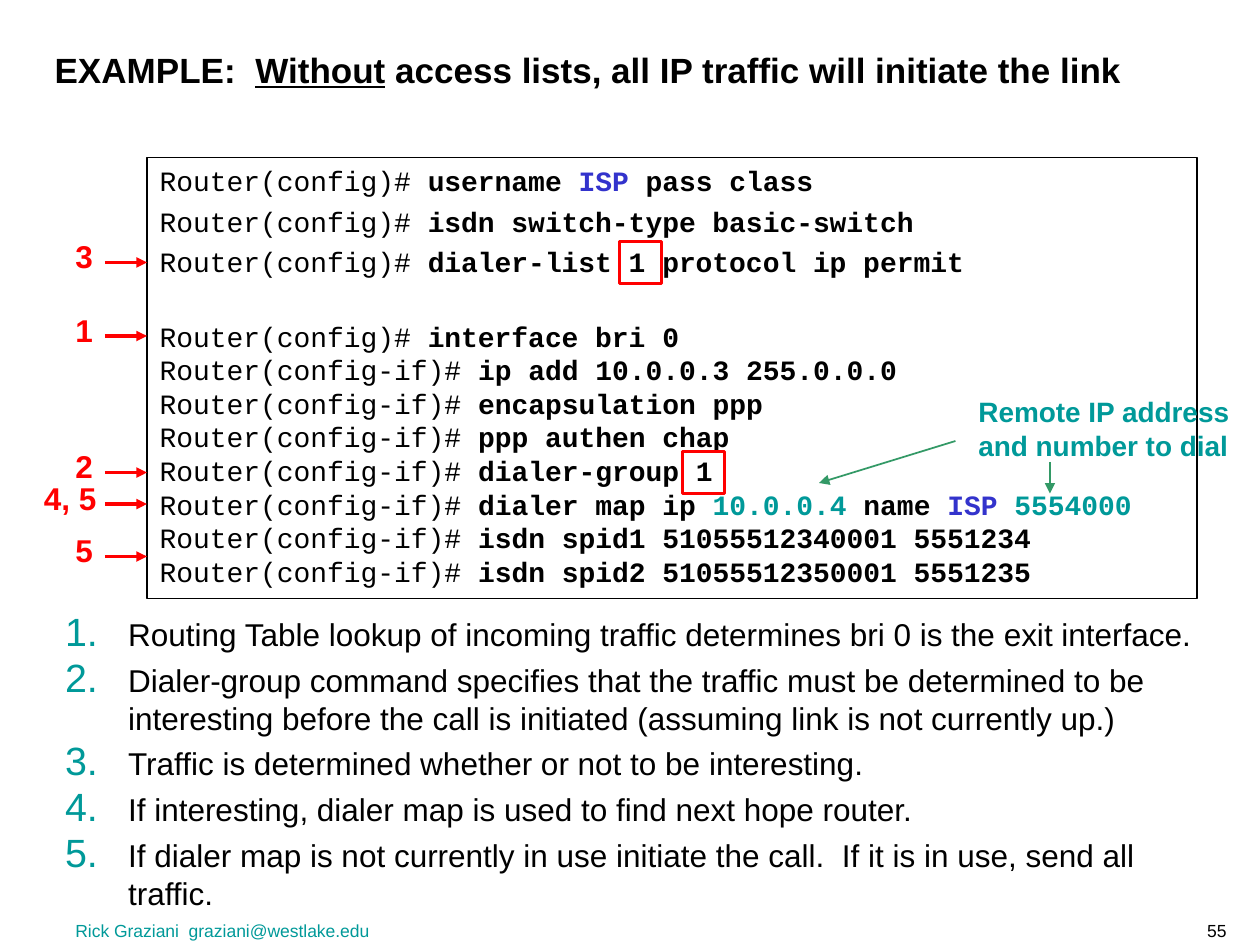
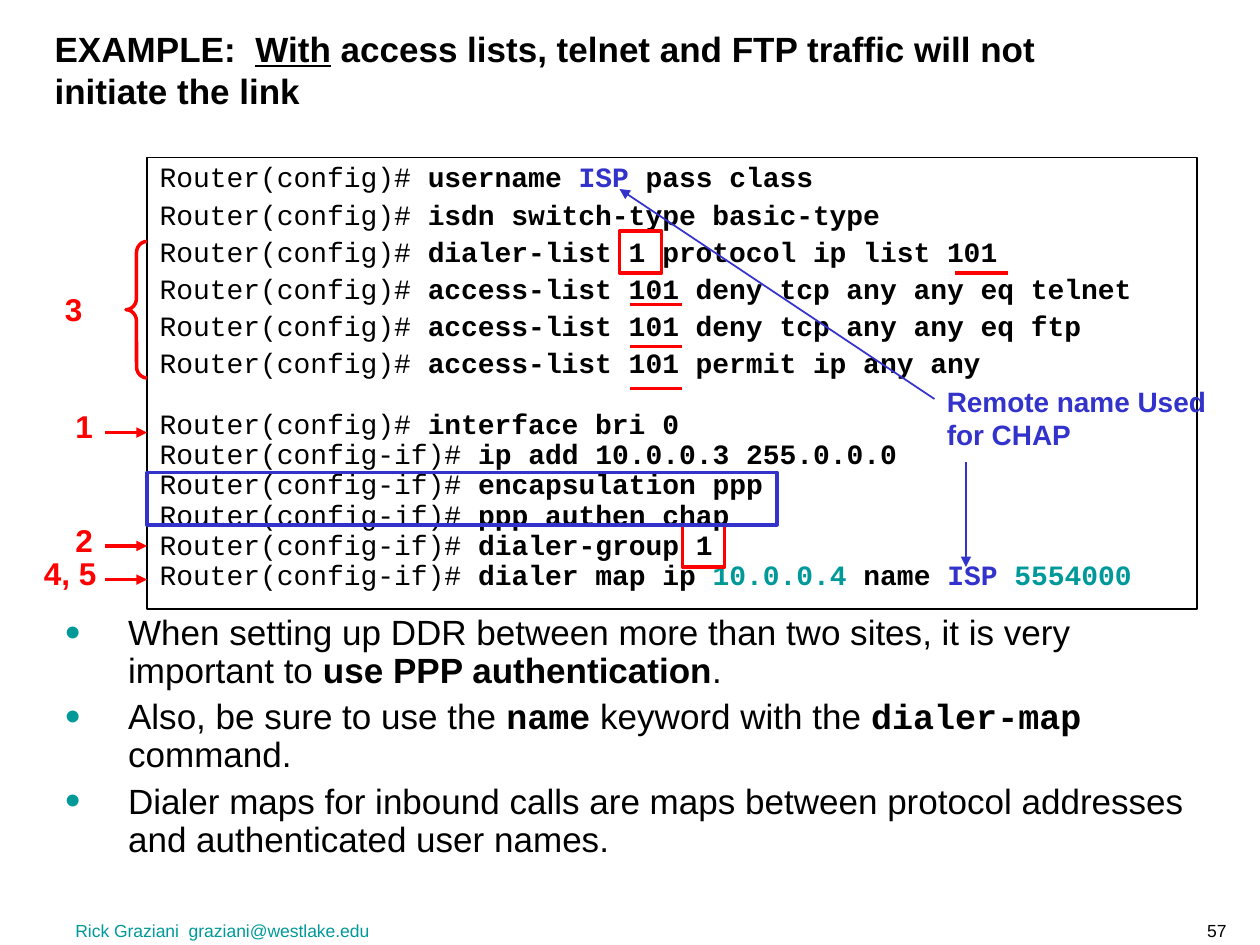
"""Two slides on dial-on-demand routing, with and without access lists."""
import pptx
import pptx.util
import pptx.dml.color
import pptx.enum.shapes
import pptx.enum.text
import pptx.oxml
import pptx.oxml.ns

RGBColor = pptx.dml.color.RGBColor
MSO_SHAPE = pptx.enum.shapes.MSO_SHAPE
PP_ALIGN = pptx.enum.text.PP_ALIGN
Pt = pptx.util.Pt

BLACK = RGBColor(0x00, 0x00, 0x00)
TEAL = RGBColor(0x00, 0x99, 0x99)
BLUE = RGBColor(0x33, 0x33, 0xCC)
RED = RGBColor(0xFF, 0x00, 0x00)
GREEN = RGBColor(0x33, 0x99, 0x66)
SANS, MONO = "Arial", "Courier New"

COLUMNS, ROWS = 120, 90
WIDTH, HEIGHT = pptx.util.Inches(10), pptx.util.Inches(7.5)
FOOTER = "Rick Graziani  graziani@westlake.edu"

GLOBAL, INTERFACE = "Router(config)# ", "Router(config-if)# "
KEYWORD = dict(font=MONO, bold=True)
USERNAME = (GLOBAL, ["username ", ("ISP", dict(color=BLUE)), " pass class"])
BRI = [
    (INTERFACE, ["ip add 10.0.0.3 255.0.0.0"]),
    (INTERFACE, ["encapsulation ppp"]),
    (INTERFACE, ["ppp authen chap"]),
    (INTERFACE, ["dialer-group 1"]),
    (INTERFACE, ["dialer map ip ", ("10.0.0.4", dict(color=TEAL)), " name ",
                 ("ISP ", dict(color=BLUE)), ("5554000", dict(color=TEAL))]),
]

SLIDES = [
    dict(
        number="55",
        title=["EXAMPLE:  ", ("Without", dict(underline=True)),
               " access lists, all IP traffic will initiate the link"],
        title_box=(4, 4, 107, 5.3),
        code_box=(14, 15, 100, 42),
        setup=[
            USERNAME,
            (GLOBAL, ["isdn switch-type basic-switch"]),
            (GLOBAL, ["dialer-list 1 protocol ip permit"]),
        ],
        interface=BRI + [
            (INTERFACE, ["isdn spid1 51055512340001 5551234"]),
            (INTERFACE, ["isdn spid2 51055512350001 5551235"]),
        ],
        code_spacing=1.0, code_gap=23.2,
        notes=[
            ["Routing Table lookup of incoming traffic determines bri 0 is the exit interface."],
            ["Dialer-group command specifies that the traffic must be determined to be "
             "interesting before the call is initiated (assuming link is not currently up.)"],
            ["Traffic is determined whether or not to be interesting."],
            ["If interesting, dialer map is used to find next hope router."],
            ["If dialer map is not currently in use initiate the call.  "
             "If it is in use, send all traffic."],
        ],
        notes_format=dict(size=18, before=4.5),
        bullet='<a:buAutoNum {} type="arabicPeriod"/>',
        steps=[("1", 6, 32), ("2", 6, 45), ("3", 6, 25), ("4, 5", 3, 48), ("5", 6, 53)],
        frames=[(65, 43, 4, 4, RED), (59, 23, 4, 4, RED)],
        underlines=[], braces=[],
        callout=("Remote IP address and number to dial", (92, 37, 28, 7.7), TEAL),
        pointers=[(91, 42, 78, 46), (100, 44, 100, 47)], pointer_color=GREEN,
    ),
    dict(
        number="57",
        title=["EXAMPLE:  ", ("With", dict(underline=True)),
               " access lists, telnet and FTP traffic will not initiate the link"],
        title_box=(4, 2, 107, 9.2),
        code_box=(14, 15, 100, 43),
        setup=[
            USERNAME,
            (GLOBAL, ["isdn switch-type basic-type"]),
            (GLOBAL, ["dialer-list 1 protocol ip list 101"]),
            (GLOBAL, ["access-list 101 deny tcp any any eq telnet"]),
            (GLOBAL, ["access-list 101 deny tcp any any eq ftp"]),
            (GLOBAL, ["access-list 101 permit ip any any"]),
        ],
        interface=BRI,
        code_spacing=0.9, code_gap=17.3,
        notes=[
            ["When setting up DDR between more than two sites, it is very important to ",
             ("use PPP authentication", dict(bold=True)), "."],
            ["Also, be sure to use the ", ("name", KEYWORD), " keyword with the ",
             ("dialer-map", KEYWORD), " command."],
            ["Dialer maps for inbound calls are maps between protocol addresses "
             "and authenticated user names."],
        ],
        notes_format=dict(size=20, before=5, spacing=0.9),
        bullet='<a:buChar {} char="•"/>',
        steps=[("1", 6, 41.2), ("2", 6, 52), ("4, 5", 3, 55.2)],
        frames=[(65, 50, 4, 4, RED), (59, 22, 4, 4, RED), (14, 45, 60, 5, BLUE)],
        underlines=[(91, 26), (60, 29), (60, 33), (60, 37)],
        braces=[("3", 5, 27, (12, 23, 2, 13))],
        callout=("Remote name Used for CHAP", (89, 36, 29, 7.7), BLUE),
        pointers=[(89, 38, 59, 18), (92, 44, 92, 54)], pointer_color=BLUE,
    ),
]


def grid(x, y, *size):
    """Turn grid columns and rows into slide lengths."""
    units = (WIDTH / COLUMNS, HEIGHT / ROWS) * 2
    return [round(n * unit) for n, unit in zip((x, y) + size, units)]


def write(p, runs, size=18, font=SANS, color=BLACK, bold=False, underline=False,
          align=PP_ALIGN.LEFT, before=0, spacing=1.0):
    """Fill a paragraph with runs, each a string or (string, overrides)."""
    p.alignment, p.space_before, p.line_spacing = align, Pt(before), spacing
    base = dict(size=size, font=font, color=color, bold=bold, underline=underline)
    for run in runs:
        text, changes = (run, {}) if isinstance(run, str) else run
        look = {**base, **changes}
        r = p.add_run()
        r.text = text
        r.font.size, r.font.name = Pt(look["size"]), look["font"]
        r.font.bold, r.font.underline = look["bold"], look["underline"]
        r.font.color.rgb = look["color"]


def prepare(sp, box):
    """Place a text shape and return its frame, set to wrap from the top."""
    sp.left, sp.top, sp.width, sp.height = grid(*box)
    tf = sp.text_frame
    tf.word_wrap = True
    tf.auto_size = pptx.enum.text.MSO_AUTO_SIZE.NONE
    tf.vertical_anchor = pptx.enum.text.MSO_ANCHOR.TOP
    return tf


def paragraphs(tf, count):
    """Return the frame's first paragraph and as many more as needed."""
    return [tf.paragraphs[0]] + [tf.add_paragraph() for _ in range(count - 1)]


def add_xml(parent, *items):
    """Append drawing elements written with a {} for their namespace."""
    for item in items:
        parent.append(pptx.oxml.parse_xml(item.format(pptx.oxml.ns.nsdecls("a"))))


def add_label(s, text, box, **look):
    """Add a text box."""
    write(prepare(s.shapes.add_textbox(0, 0, 0, 0), box).paragraphs[0], [text], **look)


def add_line(s, ends, color, width, arrow=True):
    """Add a straight line or arrow."""
    line = s.shapes.add_connector(pptx.enum.shapes.MSO_CONNECTOR.STRAIGHT, *grid(*ends))
    line.line.color.rgb, line.line.width = color, Pt(width)
    if arrow:
        add_xml(line.line._get_or_add_ln(), '<a:tailEnd {} type="triangle"/>')
    add_xml(line._element.spPr, "<a:effectLst {}/>")


def add_outline(s, kind, box, color):
    """Add an unfilled shape."""
    sp = s.shapes.add_shape(kind, *grid(*box))
    sp.shadow.inherit = False
    sp.fill.background()
    sp.line.color.rgb, sp.line.width = color, Pt(2)
    return sp


def add_code(sp, data):
    """Write the router commands into their bordered box."""
    tf = prepare(sp, data["code_box"])
    sp.line.color.rgb, sp.line.width = BLACK, Pt(0.75)
    first = (GLOBAL, ["interface bri 0"])
    lines = ([(line, 4) for line in data["setup"]] + [(first, data["code_gap"])]
             + [(line, 0) for line in data["interface"]])
    for p, ((prompt, command), before) in zip(paragraphs(tf, len(lines)), lines):
        write(p, [(prompt, dict(bold=False))] + command, size=16, font=MONO, bold=True,
              before=before, spacing=data["code_spacing"])
        pPr = p._p.get_or_add_pPr()
        pPr.set("marL", "0")
        pPr.set("indent", "0")
        add_xml(pPr, "<a:buNone {}/>")


def add_notes(sp, data):
    """Write the numbered or bulleted list."""
    tf = prepare(sp, (5, 58, 112, 28))
    hanging = pptx.util.Inches(0.5)
    for p, runs in zip(paragraphs(tf, len(data["notes"])), data["notes"]):
        write(p, runs, **data["notes_format"])
        pPr = p._p.get_or_add_pPr()
        pPr.set("marL", str(hanging))
        pPr.set("indent", str(-hanging))
        add_xml(pPr, f'<a:buClr {{}}><a:srgbClr val="{TEAL}"/></a:buClr>',
                '<a:buSzPct {} val="125000"/>', '<a:buFont {} typeface="Arial"/>',
                data["bullet"])


def add_slide(prs, data):
    """Build one slide."""
    s = prs.slides.add_slide(prs.slide_layouts[3])
    title, code, notes = s.placeholders
    step = dict(size=18, color=RED, bold=True)
    add_label(s, FOOTER, (6, 87, 90, 3), size=10, color=TEAL)
    add_label(s, data["number"], (106, 87, 12, 3), size=10, align=PP_ALIGN.RIGHT)
    write(prepare(title, data["title_box"]).paragraphs[0], data["title"], size=20, bold=True)
    add_code(code, data)
    add_notes(notes, data)
    for text, x, y in data["steps"]:
        add_label(s, text, (x, y - 3, 12 - x, 4.8), **step)
        add_line(s, (10, y, 14, y), RED, 2)
    for text, x, y, box in data["braces"]:
        add_label(s, text, (x, y, 6, 4.8), **step)
        add_outline(s, MSO_SHAPE.LEFT_BRACE, box, RED).adjustments[0] = 0.54
    for *box, color in data["frames"]:
        add_outline(s, MSO_SHAPE.RECTANGLE, box, color)
    for x, y in data["underlines"]:
        add_line(s, (x, y, x + 5, y), RED, 2, arrow=False)
    text, box, color = data["callout"]
    add_label(s, text, box, size=16, color=color, bold=True)
    for ends in data["pointers"]:
        add_line(s, ends, data["pointer_color"], 1)


def main():
    """Build and save the slides."""
    prs = pptx.Presentation()
    prs.slide_width, prs.slide_height = WIDTH, HEIGHT
    for data in SLIDES:
        add_slide(prs, data)
    prs.save("out.pptx")


if __name__ == "__main__":
    main()
